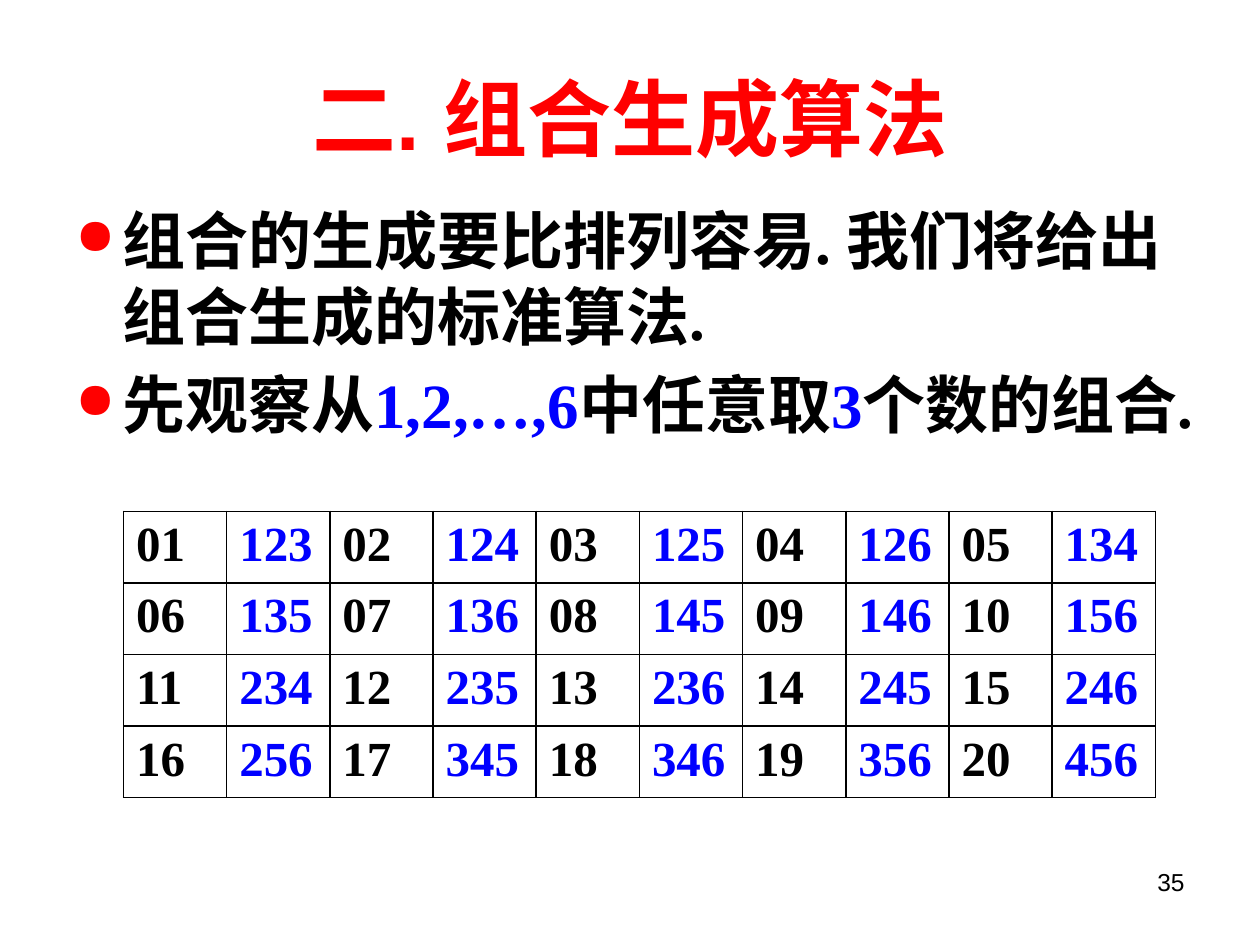
"""Build the slide on generating combinations, with a table of all 3-subsets of 1 to 6."""
from dataclasses import dataclass
from itertools import combinations

from lxml.etree import SubElement
from pptx import Presentation
from pptx.dml.color import RGBColor
from pptx.enum.text import MSO_ANCHOR as Anchor, PP_ALIGN as Align
from pptx.oxml.ns import qn
from pptx.util import Cm, Pt

BLACK = RGBColor(0x00, 0x00, 0x00)
BLUE = RGBColor(0x00, 0x00, 0xFF)
RED = RGBColor(0xFF, 0x00, 0x00)
SANS, SERIF = "Arial", "Times New Roman"
HANGING = Cm(0.95)
PAIRS_PER_ROW = 5


@dataclass(frozen=True)
class Box:
    left: float
    top: float
    width: float
    height: float

    def lengths(self) -> tuple:
        return Cm(self.left), Cm(self.top), Cm(self.width), Cm(self.height)


@dataclass(frozen=True)
class Entry:
    number: int
    subset: tuple

    def labels(self) -> tuple:
        return (f"{self.number:02}", BLACK), ("".join(map(str, self.subset)), BLUE)


TITLE_BOX = Box(1.27, 0.76, 22.86, 3.18)
BODY_BOX = Box(1.27, 3.94, 22.83, 5.21)
TABLE_BOX = Box(2.49, 10.31, 20.8, 5.77)
NUMBER_BOX = Box(18.21, 17.35, 5.92, 1.32)

POINTS = [
    [("组合的生成要比排列容易. 我们将给出组合生成的标准算法.", BLACK)],
    [("先观察从", BLACK), ("1,2,…,6", BLUE), ("中任意取", BLACK),
     ("3", BLUE), ("个数的组合.", BLACK)],
]


def write(paragraph, text: str, *, size: float, font: str, color: RGBColor = BLACK,
          bold: bool = True, align: Align = Align.LEFT) -> None:
    paragraph.alignment = align
    run = paragraph.add_run()
    run.text = text
    run.font.size, run.font.name, run.font.bold = Pt(size), font, bold
    run.font.color.rgb = color


def hang(paragraph):
    properties = paragraph._p.get_or_add_pPr()
    properties.set("marL", str(HANGING))
    properties.set("indent", str(-HANGING))
    return properties


def add_bullet(paragraph) -> None:
    properties = hang(paragraph)
    color = SubElement(properties, qn("a:buClr"))
    SubElement(color, qn("a:srgbClr"), val=str(RED))
    SubElement(properties, qn("a:buSzPct"), val="80000")
    SubElement(properties, qn("a:buChar"), char="●")


def add_frame(slide, box: Box):
    frame = slide.shapes.add_textbox(*box.lengths()).text_frame
    frame.word_wrap = True
    return frame


def add_title(slide) -> None:
    title = slide.shapes.title
    title.left, title.top, title.width, title.height = TITLE_BOX.lengths()
    title.text_frame.vertical_anchor = Anchor.MIDDLE
    write(title.text_frame.paragraphs[0], "二. 组合生成算法",
          size=48, font=SANS, color=RED, align=Align.CENTER)


def add_points(slide) -> None:
    frame = add_frame(slide, BODY_BOX)
    for index, parts in enumerate(POINTS):
        point = frame.add_paragraph() if index else frame.paragraphs[0]
        point.space_before = Pt(7.2)
        add_bullet(point)
        for text, color in parts:
            write(point, text, size=36, font=SERIF, color=color)


def add_borders(cell) -> None:
    properties = cell._tc.get_or_add_tcPr()
    for position, side in enumerate(("lnL", "lnR", "lnT", "lnB")):
        line = SubElement(properties, qn(f"a:{side}"), w=str(Pt(1)))
        fill = SubElement(line, qn("a:solidFill"))
        SubElement(fill, qn("a:srgbClr"), val=str(BLACK))
        properties.insert(position, line)


def add_combinations(slide) -> None:
    entries = [Entry(*pair) for pair in enumerate(combinations(range(1, 7), 3), 1)]
    rows, columns = len(entries) // PAIRS_PER_ROW, 2 * PAIRS_PER_ROW
    table = slide.shapes.add_table(rows, columns, *TABLE_BOX.lengths()).table
    table.first_row = table.horz_banding = False
    labels = [label for entry in entries for label in entry.labels()]
    for cell, (text, color) in zip(table.iter_cells(), labels):
        cell.fill.background()
        add_borders(cell)
        paragraph = cell.text_frame.paragraphs[0]
        hang(paragraph)
        write(paragraph, text, size=28, font=SERIF, color=color)


def main() -> None:
    deck = Presentation()
    deck.slide_width, deck.slide_height = Cm(25.4), Cm(19.05)
    slide = deck.slides.add_slide(deck.slide_layouts[5])
    add_title(slide)
    add_points(slide)
    add_combinations(slide)
    write(add_frame(slide, NUMBER_BOX).paragraphs[0], "35",
          size=14, font=SANS, bold=False, align=Align.RIGHT)
    deck.save("out.pptx")


main()
